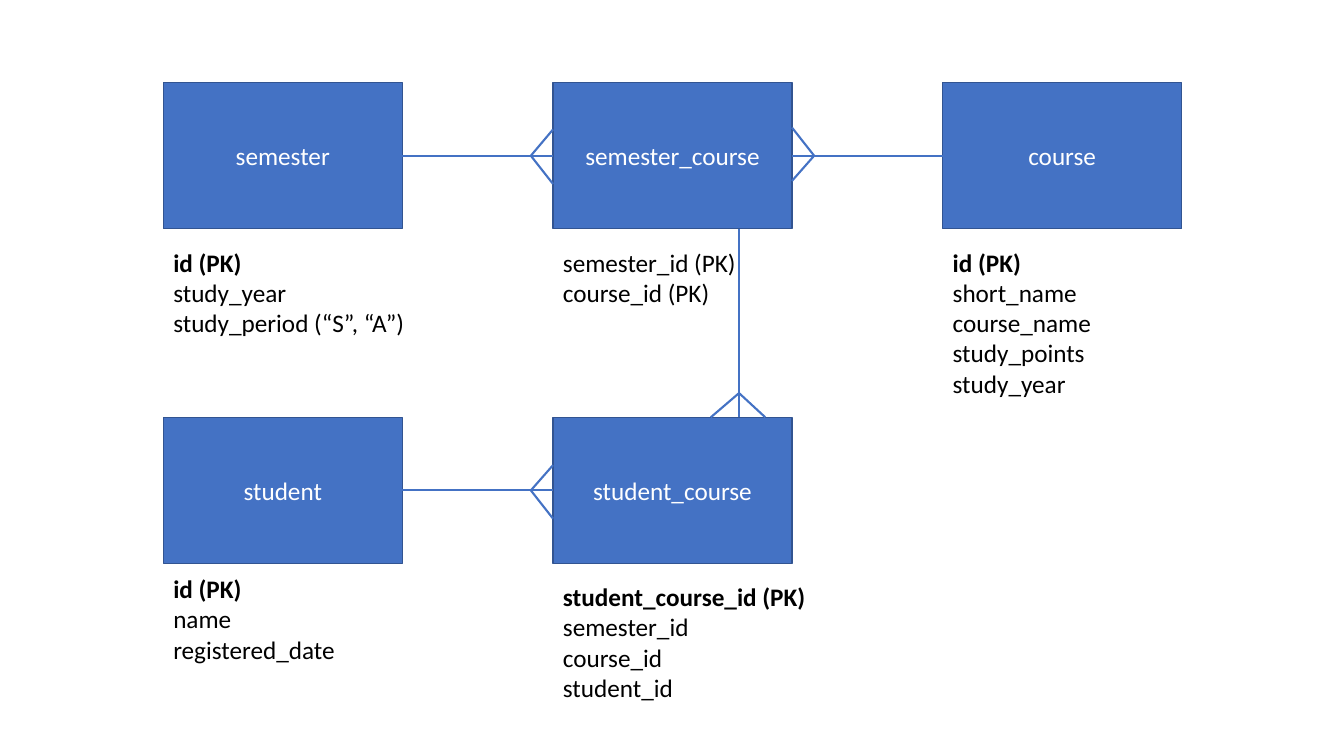
from pptx import Presentation
from pptx.dml.color import RGBColor
from pptx.enum.shapes import MSO_CONNECTOR, MSO_SHAPE
from pptx.enum.text import MSO_ANCHOR, MSO_AUTO_SIZE, PP_ALIGN
from pptx.oxml.ns import qn
from pptx.util import Inches, Pt
from lxml.etree import SubElement

# name: (column, row, gap to attributes, width of attributes, key, other attributes)
ENTITIES = {
    "semester": (0, 0, 0.13, 2.52, "id (PK)", ["study_year", "study_period (“S”, “A”)"]),
    "course": (2, 0, 0.13, 1.59, "id (PK)",
               ["short_name", "course_name", "study_points", "study_year"]),
    "semester_course": (1, 0, 0.13, 1.94, None, ["semester_id (PK)", "course_id (PK)"]),
    "student": (0, 1, 0.05, 1.82, "id (PK)", ["name", "registered_date"]),
    "student_course": (1, 1, 0.13, 2.63, "student_course_id (PK)",
                       ["semester_id", "course_id", "student_id"]),
}
# one side, many side, offsets of the two outer toes along the many side
SIDE_LINKS = [
    ("semester", "semester_course", (-0.26, 0.28)),
    ("course", "semester_course", (-0.28, 0.25)),
    ("student", "student_course", (-0.25, 0.28)),
]
DOWN_LINK = ("semester_course", "student_course", (-0.28, 0.26))

COLORS = {"box": "4472C4", "edge": "325491", "label": "FFFFFF", "text": "000000"}
FONT, SIZE = "Calibri", 18
LEFT, TOP, COL_STEP, ROW_STEP = 1.62, 0.82, 3.865, 3.32
BOX_W, BOX_H = 2.37, 1.45
LINE_H, PADDING = 0.303, 0.1
FOOT, DOWN_FOOT = 0.22, 0.24    # length of a crow's foot
DOWN_X = 7.33


def color(name):
    return RGBColor.from_string(COLORS[name])


def corner(name):
    col, row = ENTITIES[name][:2]
    return LEFT + col * COL_STEP, TOP + row * ROW_STEP


def style(p, ink, bold=False):
    for r in p.runs:
        r.font.name, r.font.size, r.font.bold = FONT, Pt(SIZE), bold
        r.font.color.rgb = color(ink)


def add_line(*ends):
    c = s.shapes.add_connector(MSO_CONNECTOR.STRAIGHT, *map(Inches, ends))
    c.line.color.rgb = color("box")
    c.line.width = Pt(1.5)
    SubElement(c._element.spPr, qn("a:effectLst"))


def add_entity(name):
    x, y = corner(name)
    gap, width, key, fields = ENTITIES[name][2:]
    sp = s.shapes.add_shape(MSO_SHAPE.RECTANGLE, *map(Inches, (x, y, BOX_W, BOX_H)))
    sp.shadow.inherit = False
    sp.fill.solid()
    sp.fill.fore_color.rgb = color("box")
    sp.line.color.rgb = color("edge")
    sp.line.width = Pt(1)
    tf = sp.text_frame
    tf.text = name
    tf.vertical_anchor = MSO_ANCHOR.MIDDLE
    tf.paragraphs[0].alignment = PP_ALIGN.CENTER
    style(tf.paragraphs[0], "label")

    # Attributes below the box
    lines = ([key] if key else []) + fields
    height = len(lines) * LINE_H + PADDING
    tf = s.shapes.add_textbox(
        *map(Inches, (x, y + BOX_H + gap, width, height))).text_frame
    tf.text = "\n".join(lines)
    tf.word_wrap = False
    tf.auto_size = MSO_AUTO_SIZE.SHAPE_TO_FIT_TEXT
    for p in tf.paragraphs:
        style(p, "text", bold=p.text == key)


prs = Presentation()
prs.slide_width, prs.slide_height = Inches(13.33), Inches(7.5)
s = prs.slides.add_slide(prs.slide_layouts[6])

for name in ENTITIES:
    add_entity(name)

# Horizontal relations
for one, many, toes in SIDE_LINKS:
    one_x, y = corner(one)
    many_x = corner(many)[0]
    y += BOX_H / 2
    if one_x < many_x:
        start, end, heel = one_x + BOX_W, many_x, many_x - FOOT
    else:
        start, end = one_x, many_x + BOX_W
        heel = end + FOOT
    add_line(start, y, end, y)
    for toe in toes:
        add_line(heel, y, end, y + toe)

# Vertical relation
upper, lower, toes = DOWN_LINK
end = corner(lower)[1]
add_line(DOWN_X, corner(upper)[1] + BOX_H, DOWN_X, end)
for toe in toes:
    add_line(DOWN_X, end - DOWN_FOOT, DOWN_X + toe, end)

prs.save("out.pptx")
